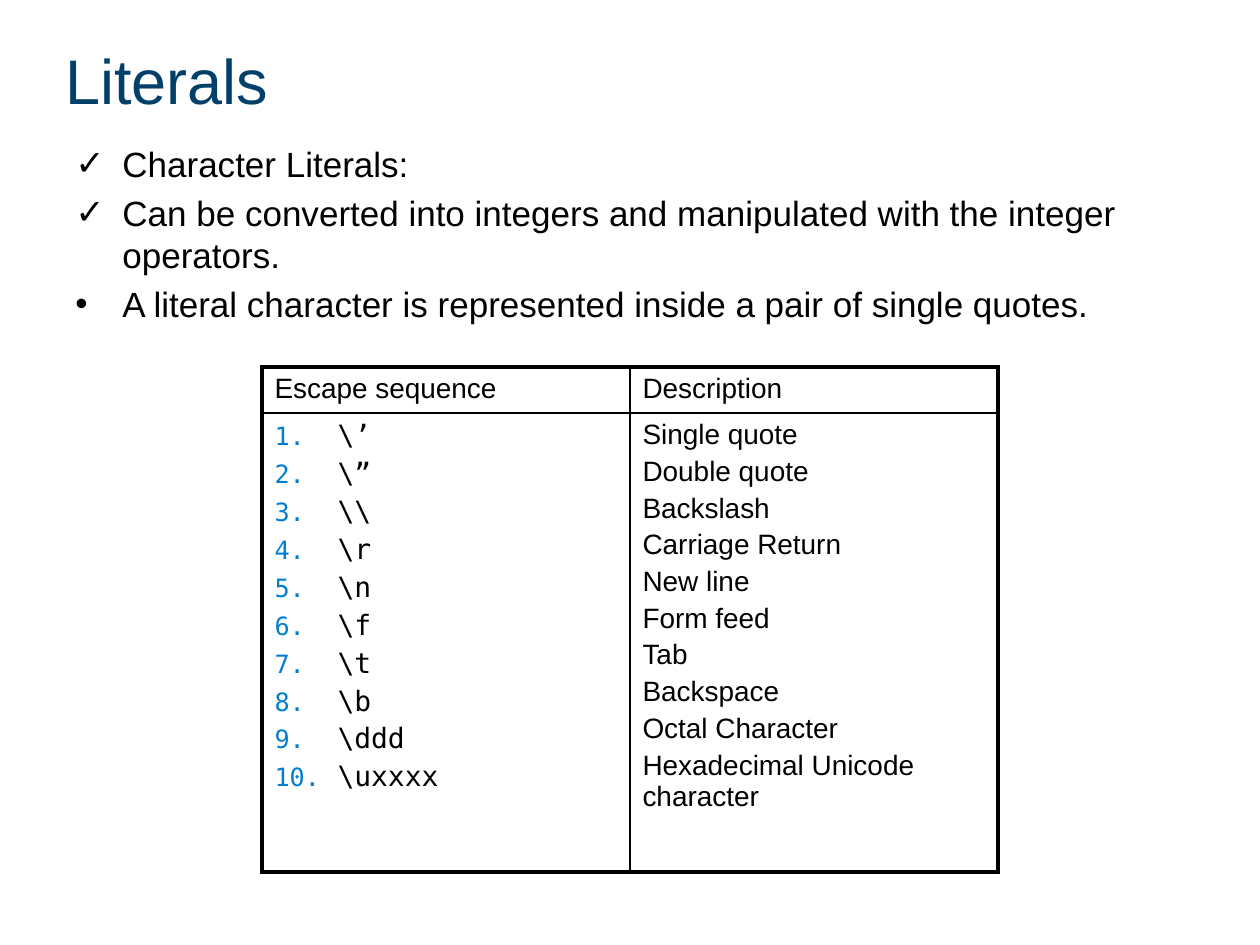
"""Build the Literals slide with its bullet list and escape sequence table."""
from lxml import etree
from pptx import Presentation
from pptx import util as u
from pptx.dml.color import RGBColor
from pptx.enum import text
from pptx.oxml import ns

PX = 914400 // 126
NAVY = RGBColor(0x02, 0x40, 0x69)
BLUE = RGBColor(0x02, 0x7E, 0xD1)
BLACK = RGBColor(0, 0, 0)
SANS, MONO = "Arial", "DejaVu Sans Mono"


def add(parent, tag, **attrs):
    return etree.SubElement(parent, ns.qn(tag), attrs)


def write(tf, lines, size=16, font=SANS, color=BLACK, indent=0, bullets=None, numbered=False):
    tf.word_wrap = True
    for i, line in enumerate(lines):
        p = tf.paragraphs[0] if i == 0 else tf.add_paragraph()
        if i:
            p.space_before = u.Pt(size * 0.2)
        pPr = p._p.get_or_add_pPr()
        if indent:
            pPr.set("marL", str(indent * PX))
            pPr.set("indent", str(-indent * PX))
        if numbered:
            add(add(pPr, "a:buClr"), "a:srgbClr", val=str(BLUE))
            add(pPr, "a:buSzPct", val="90000")
            add(pPr, "a:buFont", typeface=font)
            add(pPr, "a:buAutoNum", type="arabicPeriod")
        elif bullets:
            add(pPr, "a:buFont", typeface=font)
            add(pPr, "a:buChar", char=bullets[i])
        r = p.add_run()
        r.text = line
        r.font.size = u.Pt(size)
        r.font.name = font
        r.font.color.rgb = color


prs = Presentation()
prs.slide_width, prs.slide_height = 1260 * PX, 945 * PX
s = prs.slides.add_slide(prs.slide_layouts[6])

title = s.shapes.add_textbox(53 * PX, 0, 1071 * PX, 158 * PX)
title.text_frame.vertical_anchor = text.MSO_ANCHOR.MIDDLE
write(title.text_frame, ["Literals"], size=36, color=NAVY)

body = s.shapes.add_textbox(63 * PX, 136 * PX, 1166 * PX, 179 * PX)
write(body.text_frame, [
    "Character Literals:",
    "Can be converted into integers and manipulated with the integer operators.",
    "A literal character is represented inside a pair of single quotes.",
], size=20, indent=47, bullets="✓✓•")

escapes = [
    ("\\’", "Single quote"),
    ("\\”", "Double quote"),
    ("\\\\", "Backslash"),
    ("\\r", "Carriage Return"),
    ("\\n", "New line"),
    ("\\f", "Form feed"),
    ("\\t", "Tab"),
    ("\\b", "Backspace"),
    ("\\ddd", "Octal Character"),
    ("\\uxxxx", "Hexadecimal Unicode character"),
]
codes, meanings = zip(*escapes)

table = s.shapes.add_table(2, 2, 262 * PX, 367 * PX, 736 * PX, 503 * PX).table
table.first_row = table.horz_banding = False
for row, height in zip(table.rows, (44, 459)):
    row.height = height * PX

write(table.cell(0, 0).text_frame, ["Escape sequence"])
write(table.cell(0, 1).text_frame, ["Description"])
write(table.cell(1, 0).text_frame, codes, font=MONO, indent=63, numbered=True)
write(table.cell(1, 1).text_frame, meanings)

for row in range(2):
    for col in range(2):
        cell = table.cell(row, col)
        tcPr = cell._tc.get_or_add_tcPr()
        outer = {"L": col == 0, "R": col == 1, "T": row == 0, "B": row == 1}
        for side, edge in outer.items():
            ln = add(tcPr, f"a:ln{side}", w=str(u.Pt(2.25 if edge else 1)))
            add(add(ln, "a:solidFill"), "a:srgbClr", val=str(BLACK))
        cell.fill.background()

prs.save("out.pptx")
